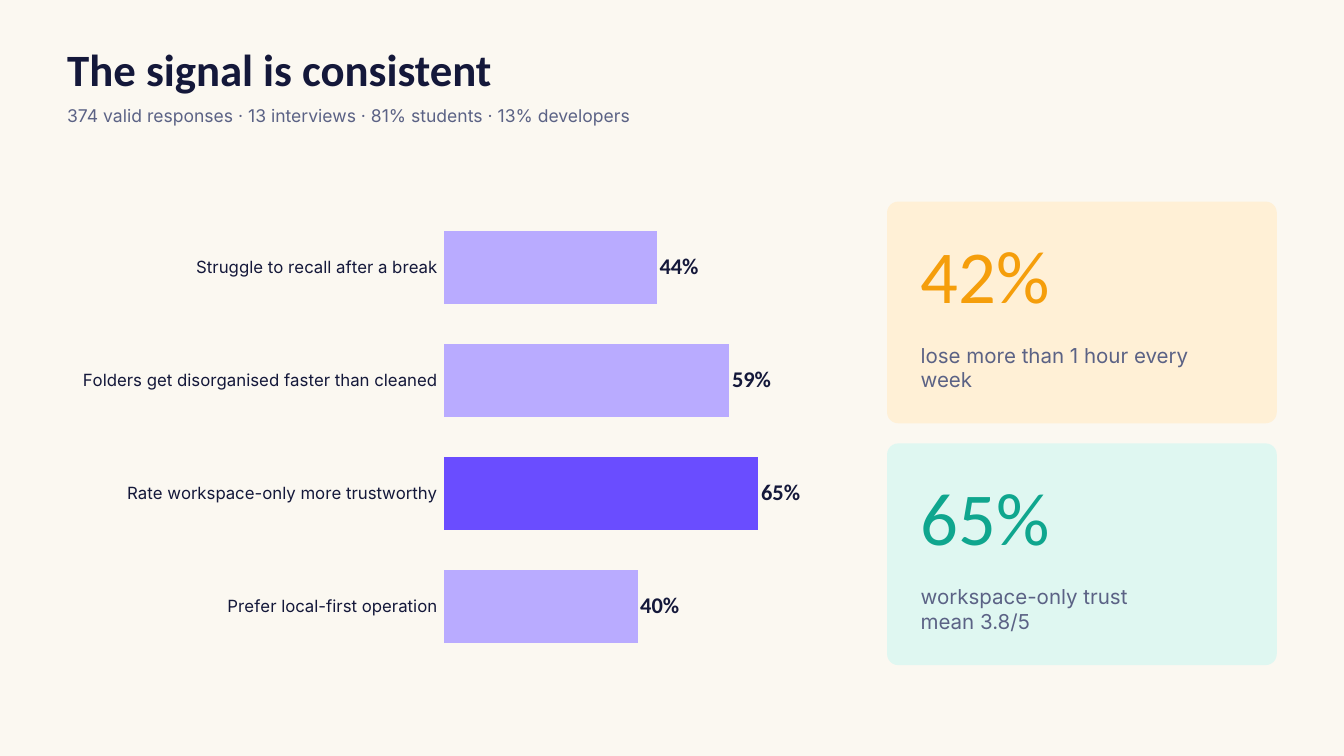
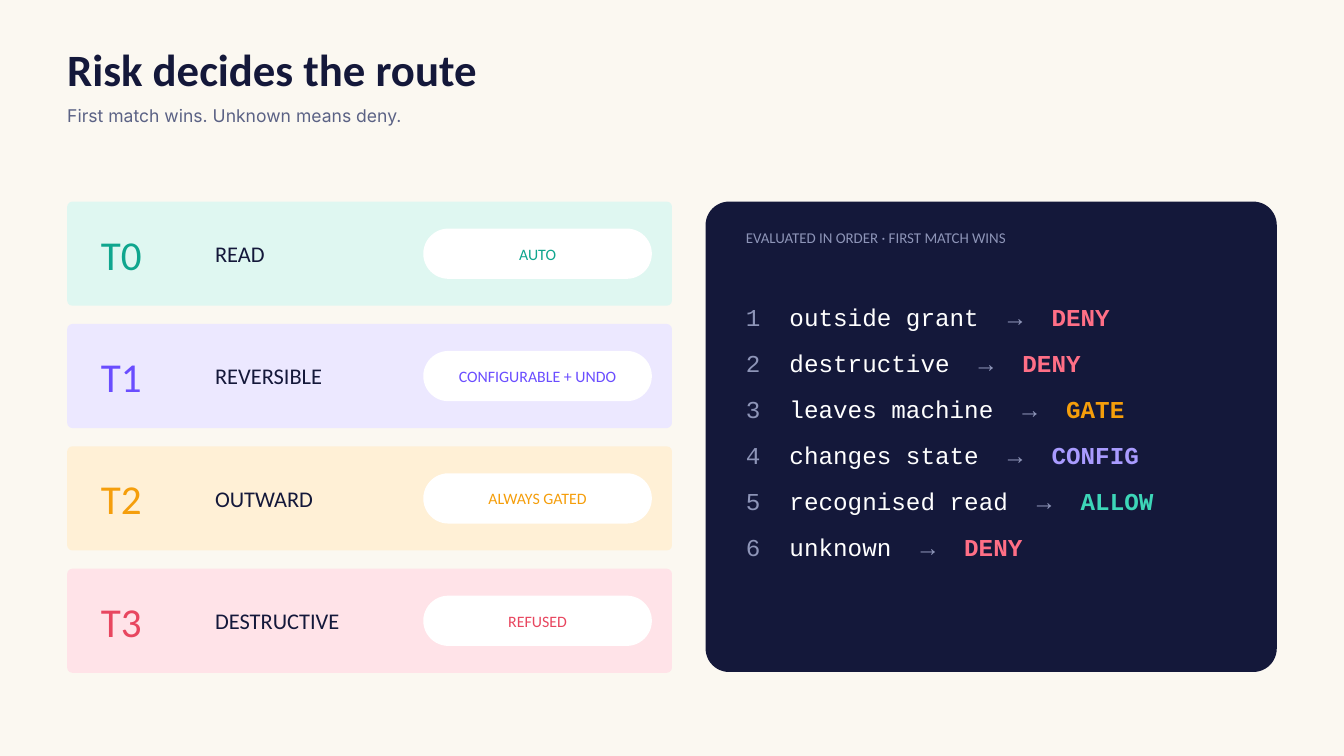
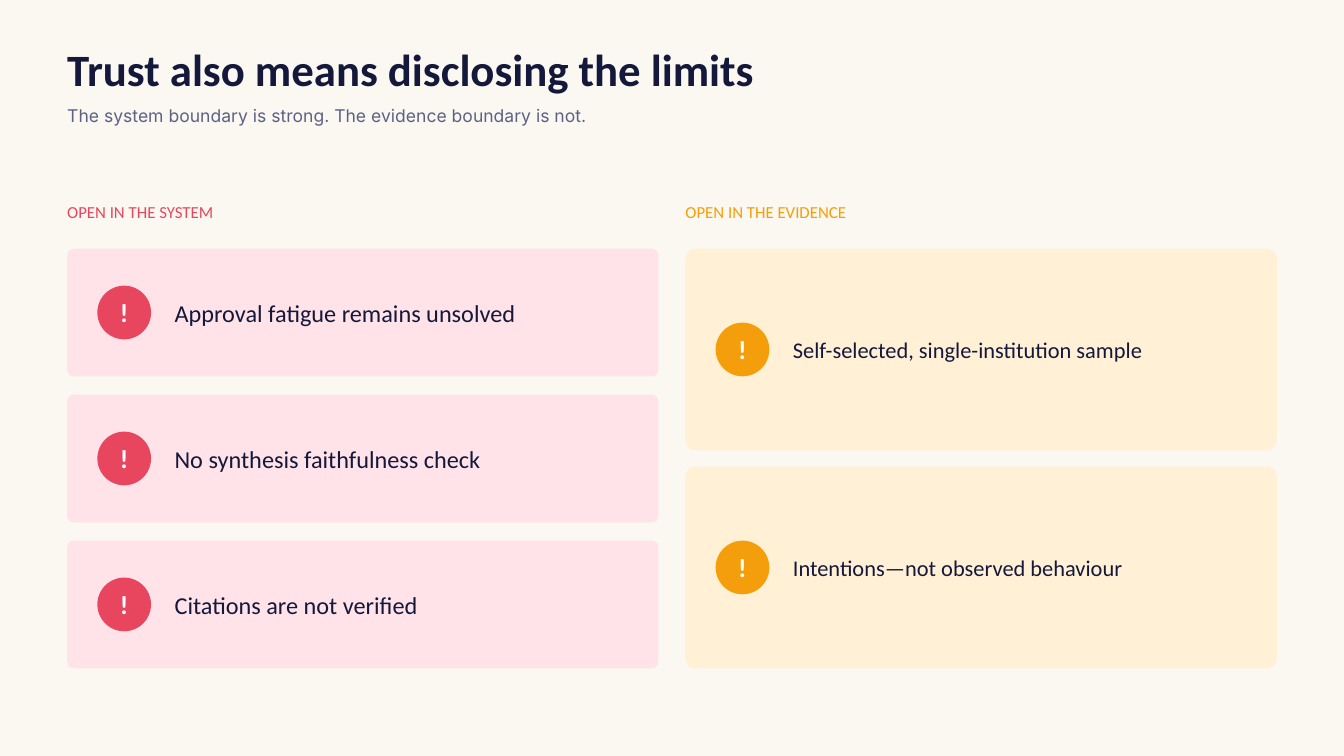
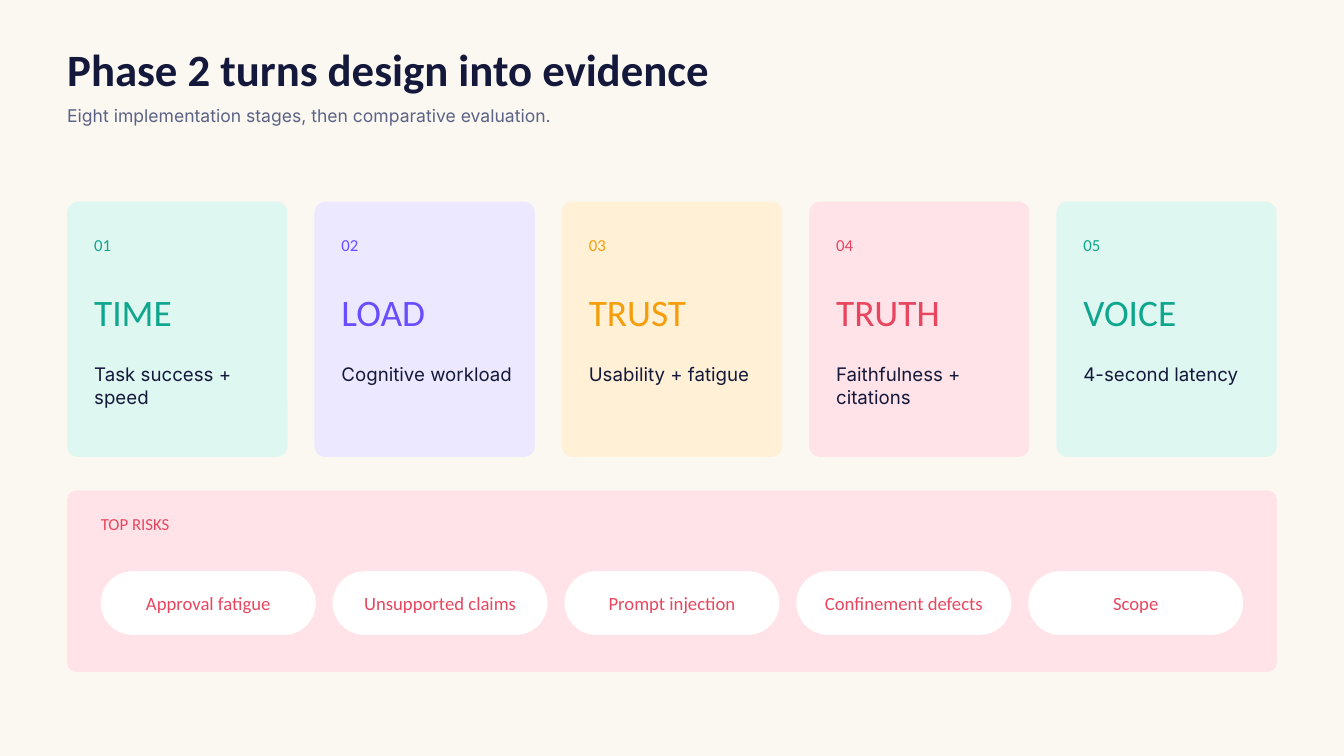
from collections import namedtuple
from dataclasses import dataclass

import pptx
import pptx.chart.data
import pptx.dml.color
import pptx.enum.chart
import pptx.enum.shapes
import pptx.enum.text
import pptx.oxml
import pptx.oxml.ns
import pptx.util

Cm, Pt = pptx.util.Cm, pptx.util.Pt
Shapes = pptx.enum.shapes.MSO_SHAPE
Anchor = pptx.enum.text.MSO_ANCHOR
Align = pptx.enum.text.PP_ALIGN

Tone = namedtuple("Tone", "ink tint")


@dataclass(frozen=True)
class Theme:
    heading: str = "Calibri"
    body: str = "Inter"
    code: str = "Courier New"

    paper: str = "FBF8F1"
    white: str = "FFFFFF"
    navy: str = "14183A"
    slate: str = "5B6285"
    mist: str = "8E95B8"
    lilac: str = "B9ABFF"
    green: Tone = Tone("0FA68E", "DFF7F1")
    violet: Tone = Tone("6A4DFF", "ECE8FF")
    amber: Tone = Tone("F59E0B", "FFF0D6")
    red: Tone = Tone("E8465F", "FFE3E8")
    deny: str = "FF6F86"
    config: str = "A99BFF"
    allow: str = "3DD6B8"

    title: float = 48
    subtitle: float = 18.8
    figure: float = 80
    tier: float = 44
    keyword: float = 40
    alert: float = 28
    large: float = 26
    medium: float = 24
    caption: float = 22
    small: float = 20
    label: float = 18
    badge: float = 17
    note: float = 16


THEME = Theme()
SLIDE_WIDTH = 50.8
SLIDE_HEIGHT = SLIDE_WIDTH * 9 / 16
MARGIN = 2.54
CONTENT_WIDTH = SLIDE_WIDTH - 2 * MARGIN
CONTENT_TOP = 7.62


def spread(start, total, gap, count):
    """Divide a length into equal parts; return their starts and their size."""
    size = (total - gap * (count - 1)) / count
    return [start + index * (size + gap) for index in range(count)], size


def rgb(color):
    return pptx.dml.color.RGBColor.from_string(color)


def style_font(font, size, color, name, bold=False):
    font.size = Pt(size)
    font.color.rgb = rgb(color)
    font.name = name
    font.bold = bold


class SlideBuilder:
    def __init__(self, theme):
        self.theme = theme
        self.deck = pptx.Presentation()
        self.deck.slide_width = Cm(SLIDE_WIDTH)
        self.deck.slide_height = Cm(SLIDE_HEIGHT)
        self.slide = None

    def new_slide(self, title, subtitle):
        theme = self.theme
        self.slide = self.deck.slides.add_slide(self.deck.slide_layouts[6])
        background = self.slide.background.fill
        background.solid()
        background.fore_color.rgb = rgb(theme.paper)
        self.text((MARGIN, 1.85, 39.67, 2.08), title, theme.title, theme.navy,
                  bold=True, spacing=50.4)
        self.text((MARGIN, 3.89, 39.67, 0.86), subtitle, theme.subtitle,
                  theme.slate, theme.body, spacing=25.3)

    def shape(self, kind, at, color, rounding=None):
        shape = self.slide.shapes.add_shape(kind, *map(Cm, at))
        shape.shadow.inherit = False
        shape.fill.solid()
        shape.fill.fore_color.rgb = rgb(color)
        shape.line.fill.background()
        if rounding is not None:
            shape.adjustments[0] = rounding
        return shape

    def card(self, at, color):
        return self.shape(Shapes.ROUNDED_RECTANGLE, at, color, 0.05)

    def pill(self, at, words, size, color):
        self.shape(Shapes.ROUNDED_RECTANGLE, at, self.theme.white, 0.5)
        self.text(at, words, size, color, middle=True, align=Align.CENTER)

    def alert(self, at, color):
        """A disc with an exclamation mark."""
        frame = self.shape(Shapes.OVAL, at, color).text_frame
        self.set_frame(frame, middle=True)
        para = frame.paragraphs[0]
        para.alignment = Align.CENTER
        self.span(para, "!", self.theme.alert, self.theme.white, bold=True)

    def set_frame(self, frame, middle=False):
        frame.word_wrap = True
        frame.margin_left = frame.margin_right = 0
        frame.margin_top = frame.margin_bottom = 0
        frame.vertical_anchor = Anchor.MIDDLE if middle else Anchor.TOP

    def text_frame(self, at, middle=False):
        frame = self.slide.shapes.add_textbox(*map(Cm, at)).text_frame
        self.set_frame(frame, middle)
        frame.auto_size = pptx.enum.text.MSO_AUTO_SIZE.SHAPE_TO_FIT_TEXT
        return frame

    def span(self, para, words, size, color, font=None, bold=False):
        run = para.add_run()
        run.text = words
        style_font(run.font, size, color, font or self.theme.heading, bold)

    def text(self, at, words, size, color, font=None, bold=False,
             middle=False, align=None, spacing=None):
        """A text box with one paragraph for each line of words."""
        frame = self.text_frame(at, middle)
        for index, line in enumerate(words.split("\n")):
            para = frame.add_paragraph() if index else frame.paragraphs[0]
            para.alignment = align
            if spacing:
                para.line_spacing = Pt(spacing)
            self.span(para, line, size, color, font, bold)

    def rule_list(self, at, rules):
        """Numbered rules in code type, each with an arrow to its verdict."""
        theme = self.theme
        character = Pt(theme.large * 0.6)
        frame = self.text_frame(at)
        for index, (condition, verdict, color) in enumerate(rules):
            para = frame.add_paragraph() if index else frame.paragraphs[0]
            para.space_after = Pt(18)
            arrow = 3 + len(condition) + 2
            self.tab_stops(para, [column * character for column in (3, arrow, arrow + 3)])
            for words, ink, bold in ((f"{index + 1}\t", theme.mist, False),
                                     (condition, theme.white, False),
                                     ("\t→\t", theme.mist, False),
                                     (verdict, color, True)):
                self.span(para, words, theme.large, ink, theme.code, bold)

    def tab_stops(self, para, positions):
        namespace = pptx.oxml.ns.nsdecls("a")
        stops = "".join(f'<a:tab pos="{position}" algn="l"/>' for position in positions)
        properties = para._p.get_or_add_pPr()
        properties.append(pptx.oxml.parse_xml(f"<a:tabLst {namespace}>{stops}</a:tabLst>"))

    def bar_chart(self, at, values, highlight):
        theme, enums = self.theme, pptx.enum.chart
        data = pptx.chart.data.CategoryChartData()
        data.categories = list(values)
        data.add_series("Series 1", list(values.values()))
        chart = self.slide.shapes.add_chart(
            enums.XL_CHART_TYPE.BAR_CLUSTERED, *map(Cm, at), data).chart
        chart.has_legend = chart.has_title = False
        style_font(chart.font, theme.label, theme.navy, theme.body)

        categories = chart.category_axis
        categories.reverse_order = True
        categories.has_major_gridlines = False
        categories.format.line.fill.background()
        style_font(categories.tick_labels.font, theme.label, theme.navy, theme.body)
        scale = chart.value_axis
        scale.minimum_scale, scale.maximum_scale = 0, 80
        scale.has_major_gridlines = False
        scale.visible = False

        plot = chart.plots[0]
        plot.gap_width = 55
        plot.vary_by_categories = False
        series = plot.series[0]
        for index, category in enumerate(values):
            fill = series.points[index].format.fill
            fill.solid()
            fill.fore_color.rgb = rgb(theme.violet.ink if category == highlight else theme.lilac)
        labels = series.data_labels
        labels.show_value = True
        labels.position = enums.XL_LABEL_POSITION.OUTSIDE_END
        labels.number_format = '0"%"'
        labels.number_format_is_linked = False
        style_font(labels.font, theme.medium, theme.navy, theme.heading, bold=True)


def add_survey(builder):
    theme = builder.theme
    builder.new_slide("The signal is consistent",
                      "374 valid responses · 13 interviews · 81% students · 13% developers")
    builder.bar_chart((MARGIN, CONTENT_TOP, 29.46, 17.78), {
        "Struggle to recall after a break": 44,
        "Folders get disorganised faster than cleaned": 59,
        "Rate workspace-only more trustworthy": 65,
        "Prefer local-first operation": 40,
    }, highlight="Rate workspace-only more trustworthy")

    findings = [("42%", "lose more than 1 hour every week", theme.amber),
                ("65%", "workspace-only trust\nmean 3.8/5", theme.green)]
    tops, height = spread(CONTENT_TOP, 17.52, 0.76, len(findings))
    for top, (figure, meaning, tone) in zip(tops, findings):
        builder.card((33.53, top, 14.73, height), tone.tint)
        builder.text((34.8, top + 1.02, 12.19, 3.81), figure, theme.figure, tone.ink)
        builder.text((34.8, top + 5.33, 12.19, 2.54), meaning, theme.caption,
                     theme.slate, theme.body)


def add_risk_tiers(builder):
    theme = builder.theme
    builder.new_slide("Risk decides the route", "First match wins. Unknown means deny.")
    tiers = [("READ", "AUTO", theme.green),
             ("REVERSIBLE", "CONFIGURABLE + UNDO", theme.violet),
             ("OUTWARD", "ALWAYS GATED", theme.amber),
             ("DESTRUCTIVE", "REFUSED", theme.red)]
    tops, height = spread(CONTENT_TOP, 17.81, 0.69, len(tiers))
    for index, (top, (action, route, tone)) in enumerate(zip(tops, tiers)):
        builder.card((MARGIN, top, 22.86, height), tone.tint)
        builder.text((3.81, top, 3.81, height), f"T{index}", theme.tier, tone.ink, middle=True)
        builder.text((8.13, top, 8.89, height), action, theme.medium, theme.navy, middle=True)
        builder.pill((16, top + 1.02, 8.64, 1.9), route, theme.badge, tone.ink)

    builder.card((26.67, CONTENT_TOP, 21.59, 17.78), theme.navy)
    builder.text((28.19, 8.64, 18.8, 1.02), "EVALUATED IN ORDER · FIRST MATCH WINS",
                 theme.note, theme.mist)
    builder.rule_list((28.19, 11.43, 18.8, 13.21), [
        ("outside grant", "DENY", theme.deny),
        ("destructive", "DENY", theme.deny),
        ("leaves machine", "GATE", theme.amber.ink),
        ("changes state", "CONFIG", theme.config),
        ("recognised read", "ALLOW", theme.allow),
        ("unknown", "DENY", theme.deny),
    ])


def add_limits(builder):
    theme = builder.theme
    builder.new_slide("Trust also means disclosing the limits",
                      "The system boundary is strong. The evidence boundary is not.")
    groups = [
        ("OPEN IN THE SYSTEM", theme.red, theme.large, 0.69,
         ["Approval fatigue remains unsolved", "No synthesis faithfulness check",
          "Citations are not verified"]),
        ("OPEN IN THE EVIDENCE", theme.amber, theme.medium, 0.62,
         ["Self-selected, single-institution sample", "Intentions—not observed behaviour"]),
    ]
    disc = 2.03
    lefts, width = spread(MARGIN, CONTENT_WIDTH, 1.02, len(groups))
    for left, (heading, tone, size, gap, limits) in zip(lefts, groups):
        builder.text((left, CONTENT_TOP, 20.32, 1.02), heading, theme.label, tone.ink)
        tops, height = spread(9.4, 15.86, gap, len(limits))
        for top, limit in zip(tops, limits):
            builder.card((left, top, width, height), tone.tint)
            builder.alert((left + 1.14, top + (height - disc) / 2, disc, disc), tone.ink)
            builder.text((left + 4.06, top, 17.53, height), limit, size, theme.navy, middle=True)


def add_evaluation(builder):
    theme = builder.theme
    builder.new_slide("Phase 2 turns design into evidence",
                      "Eight implementation stages, then comparative evaluation.")
    measures = [("TIME", "Task success + speed", theme.green),
                ("LOAD", "Cognitive workload", theme.violet),
                ("TRUST", "Usability + fatigue", theme.amber),
                ("TRUTH", "Faithfulness + citations", theme.red),
                ("VOICE", "4-second latency", theme.green)]
    lefts, width = spread(MARGIN, CONTENT_WIDTH, 1.02, len(measures))
    for number, (left, (keyword, measure, tone)) in enumerate(zip(lefts, measures), 1):
        inner = left + 1.02
        builder.card((left, CONTENT_TOP, width, 9.65), tone.tint)
        builder.text((inner, 8.89, 6.6, 1.02), f"{number:02}", theme.label, tone.ink)
        builder.text((inner, 10.92, 6.6, 2.29), keyword, theme.keyword, tone.ink)
        builder.text((inner, 13.72, 6.6, 3.05), measure, theme.small, theme.navy, theme.body)

    builder.card((MARGIN, 18.54, CONTENT_WIDTH, 6.86), theme.red.tint)
    builder.text((3.81, 19.43, 20.32, 1.02), "TOP RISKS", theme.label, theme.red.ink)
    risks = ["Approval fatigue", "Unsupported claims", "Prompt injection",
             "Confinement defects", "Scope"]
    lefts, width = spread(3.81, 43.18, 0.64, len(risks))
    for left, risk in zip(lefts, risks):
        builder.pill((left, 21.59, width, 2.41), risk, theme.small, theme.red.ink)


def main():
    builder = SlideBuilder(THEME)
    add_survey(builder)
    add_risk_tiers(builder)
    add_limits(builder)
    add_evaluation(builder)
    builder.deck.save("out.pptx")


if __name__ == "__main__":
    main()
